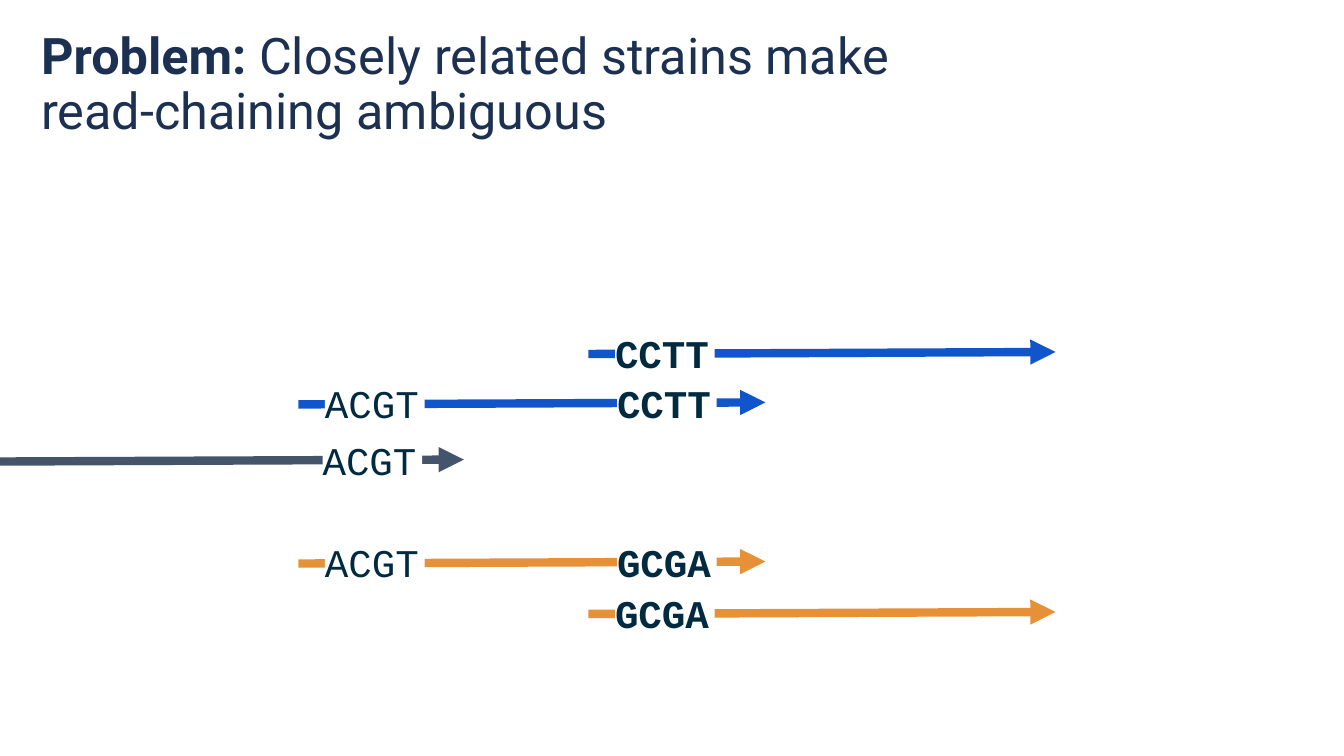
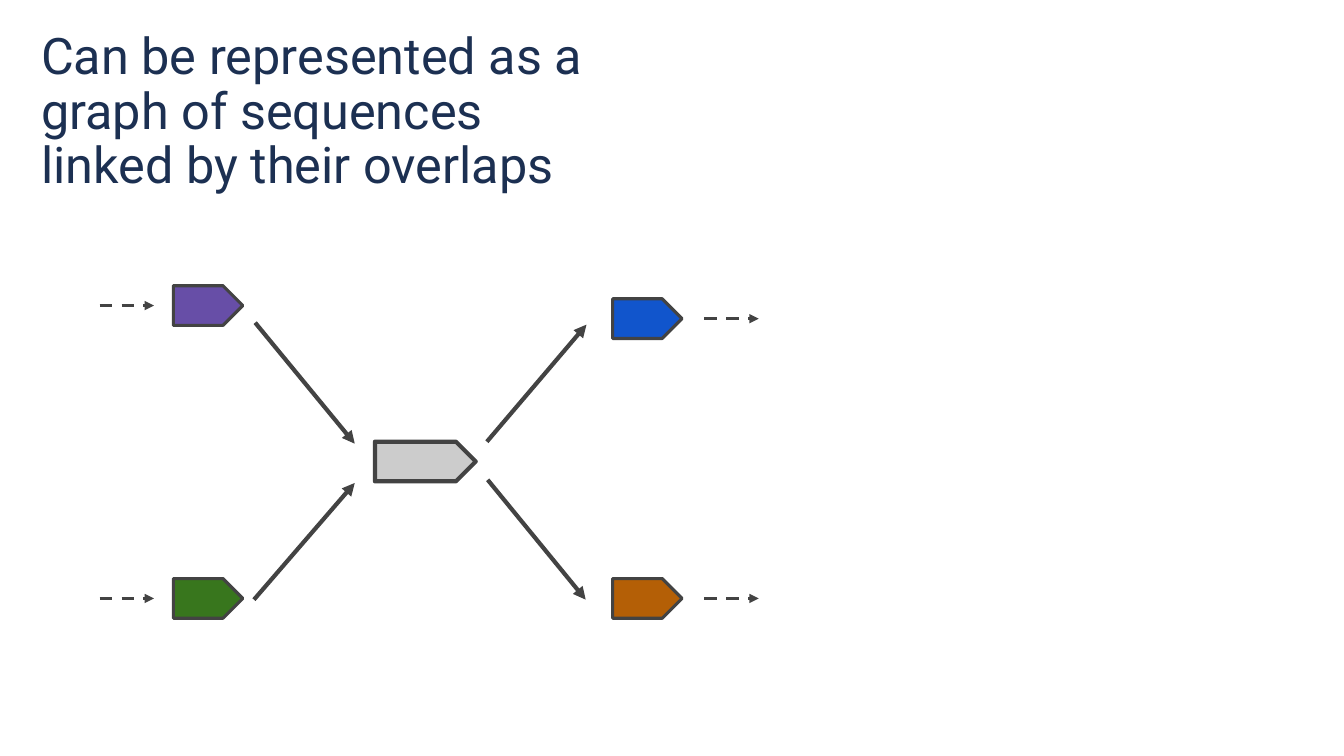
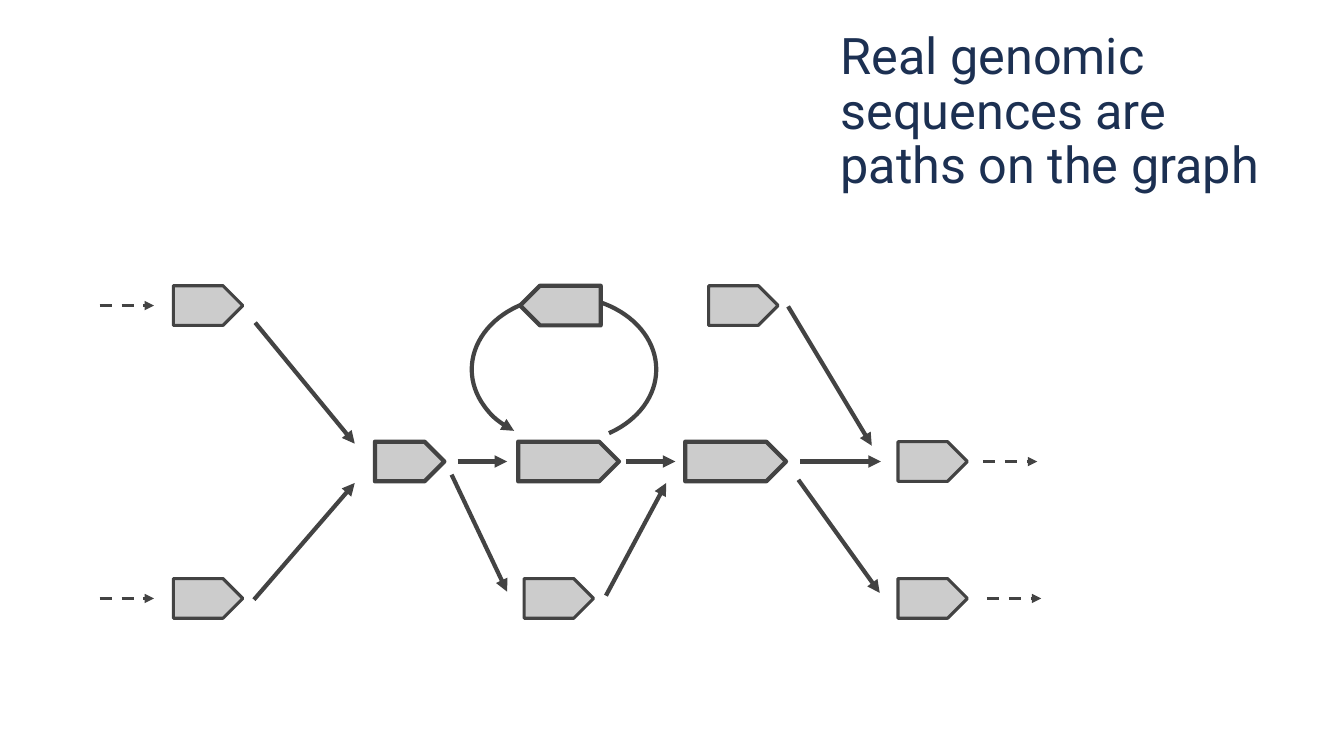
"""Build three slides on read chaining and sequence graphs."""

from dataclasses import dataclass

from lxml.etree import SubElement
from pptx import Presentation
from pptx.dml.color import RGBColor
from pptx.enum.dml import MSO_LINE
from pptx.enum.shapes import MSO_CONNECTOR, MSO_SHAPE
from pptx.enum.text import MSO_ANCHOR, PP_ALIGN
from pptx.oxml.ns import qn
from pptx.slide import Slide
from pptx.util import Cm, Pt

COLORS = {
    "title": "1C3052",
    "letters": "002A40",
    "white": "FFFFFF",
    "slate": "44546A",
    "blue": "1155CC",
    "amber": "E69138",
    "outline": "434343",
    "gray": "CCCCCC",
    "purple": "674EA7",
    "green": "38761D",
    "brown": "B45F06",
}

TOP, UPPER, MIDDLE, BOTTOM = 7.7, 8.03, 11.63, 15.08
NODE_HEIGHT = 1.0
SHORT, MEDIUM, LONG = 1.75, 2.03, 2.54
THIN, THICK = 2.25, 3
DASH_LENGTH = 1.37


@dataclass(frozen=True)
class Label:
    offset: float
    text: str
    bold: bool = False


@dataclass(frozen=True)
class Read:
    left: float
    y: float
    color: str
    labels: tuple[Label, ...]
    length: float = 11.77


@dataclass(frozen=True)
class Node:
    left: float
    center: float
    width: float = SHORT
    color: str = "gray"
    weight: float = THIN
    flipped: bool = False


@dataclass(frozen=True)
class Edge:
    x1: float
    y1: float
    x2: float
    y2: float
    weight: float = THICK
    dashed: bool = False
    color: str = "outline"


def rgb(name: str) -> RGBColor:
    return RGBColor.from_string(COLORS[name])


def dashed_edge(left: float, y: float) -> Edge:
    return Edge(left, y, left + DASH_LENGTH, y, THIN, True)


def add_title(s: Slide, runs: list[tuple[str, bool]], left: float, width: float, height: float) -> None:
    tf = s.shapes.add_textbox(Cm(left), Cm(0.66), Cm(width), Cm(height)).text_frame
    tf.word_wrap = True
    p = tf.paragraphs[0]
    p.line_spacing = 0.9
    for text, bold in runs:
        r = p.add_run()
        r.text = text
        r.font.name, r.font.size, r.font.bold = "Roboto", Pt(36), bold
        r.font.color.rgb = rgb("title")


def add_edge(s: Slide, edge: Edge) -> None:
    line = s.shapes.add_connector(
        MSO_CONNECTOR.STRAIGHT, Cm(edge.x1), Cm(edge.y1), Cm(edge.x2), Cm(edge.y2)
    )
    line.line.color.rgb = rgb(edge.color)
    line.line.width = Pt(edge.weight)
    if edge.dashed:
        line.line.dash_style = MSO_LINE.DASH
    SubElement(line.line._get_or_add_ln(), qn("a:tailEnd"), type="triangle")
    SubElement(line._element.spPr, qn("a:effectLst"))


def add_node(s: Slide, node: Node) -> None:
    sp = s.shapes.add_shape(
        MSO_SHAPE.PENTAGON, Cm(node.left), Cm(node.center - NODE_HEIGHT / 2),
        Cm(node.width), Cm(NODE_HEIGHT),
    )
    sp.shadow.inherit = False
    sp.fill.solid()
    sp.fill.fore_color.rgb = rgb(node.color)
    sp.line.color.rgb = rgb("outline")
    sp.line.width = Pt(node.weight)
    if node.flipped:
        sp._element.spPr.xfrm.set("flipH", "1")


def add_loop(s: Slide) -> None:
    sp = s.shapes.add_shape(MSO_SHAPE.ARC, Cm(11.89), Cm(7.47), Cm(4.65), Cm(3.68))
    sp.adjustments[0], sp.adjustments[1] = 77.47, 32.88
    sp.shadow.inherit = False
    sp.fill.background()
    sp.line.color.rgb = rgb("outline")
    sp.line.width = Pt(THICK)
    SubElement(sp.line._get_or_add_ln(), qn("a:headEnd"), type="triangle")


def add_label(s: Slide, label: Label, left: float, top: float) -> None:
    sp = s.shapes.add_shape(MSO_SHAPE.RECTANGLE, Cm(left), Cm(top), Cm(2.51), Cm(1.09))
    sp.shadow.inherit = False
    sp.fill.solid()
    sp.fill.fore_color.rgb = rgb("white")
    sp.line.fill.background()
    tf = sp.text_frame
    tf.word_wrap = True
    tf.vertical_anchor = MSO_ANCHOR.MIDDLE
    tf.margin_left = tf.margin_right = tf.margin_top = tf.margin_bottom = 0
    p = tf.paragraphs[0]
    p.alignment = PP_ALIGN.LEFT
    r = p.add_run()
    r.text = label.text
    r.font.name, r.font.size, r.font.bold = "Courier New", Pt(28), label.bold
    r.font.color.rgb = rgb("letters")


def add_read(s: Slide, read: Read) -> None:
    add_edge(s, Edge(read.left, read.y, read.left + read.length, read.y - 0.05, 6, color=read.color))
    for label in read.labels:
        add_label(s, label, read.left + label.offset, read.y - 0.58)


def add_graph(s: Slide, edges: list[Edge], nodes: list[Node]) -> None:
    for edge in edges:
        add_edge(s, edge)
    for node in nodes:
        add_node(s, node)


SHARED_EDGES = [
    Edge(6.43, 8.13, 8.94, 11.18),
    Edge(6.4, 15.11, 8.94, 12.17),
    dashed_edge(2.51, TOP),
    dashed_edge(2.51, BOTTOM),
]


def build_reads(s: Slide) -> None:
    start = Label(0.67, "ACGT")
    reads = [Read(-0.08, 11.63, "slate", (Label(8.21, "ACGT"),))]
    for color, text, inner, outer in (("blue", "CCTT", 10.19, 8.92), ("amber", "GCGA", 14.2, 15.47)):
        reads += [
            Read(7.52, inner, color, (start, Label(8.03, text, True))),
            Read(14.83, outer, color, (Label(0.67, text, True),)),
        ]
    for read in reads:
        add_read(s, read)
    add_title(
        s,
        [("Problem:", True), (" Closely related strains make read-chaining ambiguous", False)],
        0.79, 22.12, 6.22,
    )


def build_overlaps(s: Slide) -> None:
    edges = SHARED_EDGES + [
        Edge(12.27, 11.13, 14.78, 8.18),
        Edge(12.29, 12.09, 14.76, 15.11),
        dashed_edge(17.75, UPPER),
        dashed_edge(17.75, BOTTOM),
    ]
    nodes = [
        Node(4.37, TOP, color="purple"),
        Node(4.37, BOTTOM, color="green"),
        Node(9.45, MIDDLE, LONG, weight=THICK),
        Node(15.44, UPPER, color="blue"),
        Node(15.44, BOTTOM, color="brown"),
    ]
    add_graph(s, edges, nodes)
    add_title(
        s, [("Can be represented as a graph of sequences linked by their overlaps", False)],
        0.79, 14.3, 6.22,
    )


def build_paths(s: Slide) -> None:
    edges = SHARED_EDGES + [
        Edge(11.53, MIDDLE, 12.78, MIDDLE),
        Edge(15.77, MIDDLE, 17.02, MIDDLE),
        Edge(20.17, MIDDLE, 22.2, MIDDLE),
        Edge(11.38, 11.96, 12.78, 14.91),
        Edge(15.27, 15.01, 16.79, 12.17),
        Edge(19.86, 7.72, 21.97, 11.23),
        Edge(20.12, 12.09, 22.17, 14.94),
        dashed_edge(24.77, MIDDLE),
        dashed_edge(24.87, BOTTOM),
    ]
    nodes = [
        Node(4.37, TOP),
        Node(4.37, BOTTOM),
        Node(9.45, MIDDLE, weight=THICK),
        Node(13.11, TOP, MEDIUM, weight=THICK, flipped=True),
        Node(13.06, MIDDLE, LONG, weight=THICK),
        Node(13.21, BOTTOM),
        Node(17.86, TOP),
        Node(17.27, MIDDLE, LONG, weight=THICK),
        Node(22.63, MIDDLE),
        Node(22.63, BOTTOM),
    ]
    add_loop(s)
    add_graph(s, edges, nodes)
    add_title(s, [("Real genomic sequences are paths on the graph", False)], 20.93, 11.89, 4.5)


def main() -> None:
    prs = Presentation()
    prs.slide_width, prs.slide_height = Cm(33.87), Cm(19.05)
    for build in (build_reads, build_overlaps, build_paths):
        build(prs.slides.add_slide(prs.slide_layouts[6]))
    prs.save("out.pptx")


if __name__ == "__main__":
    main()
